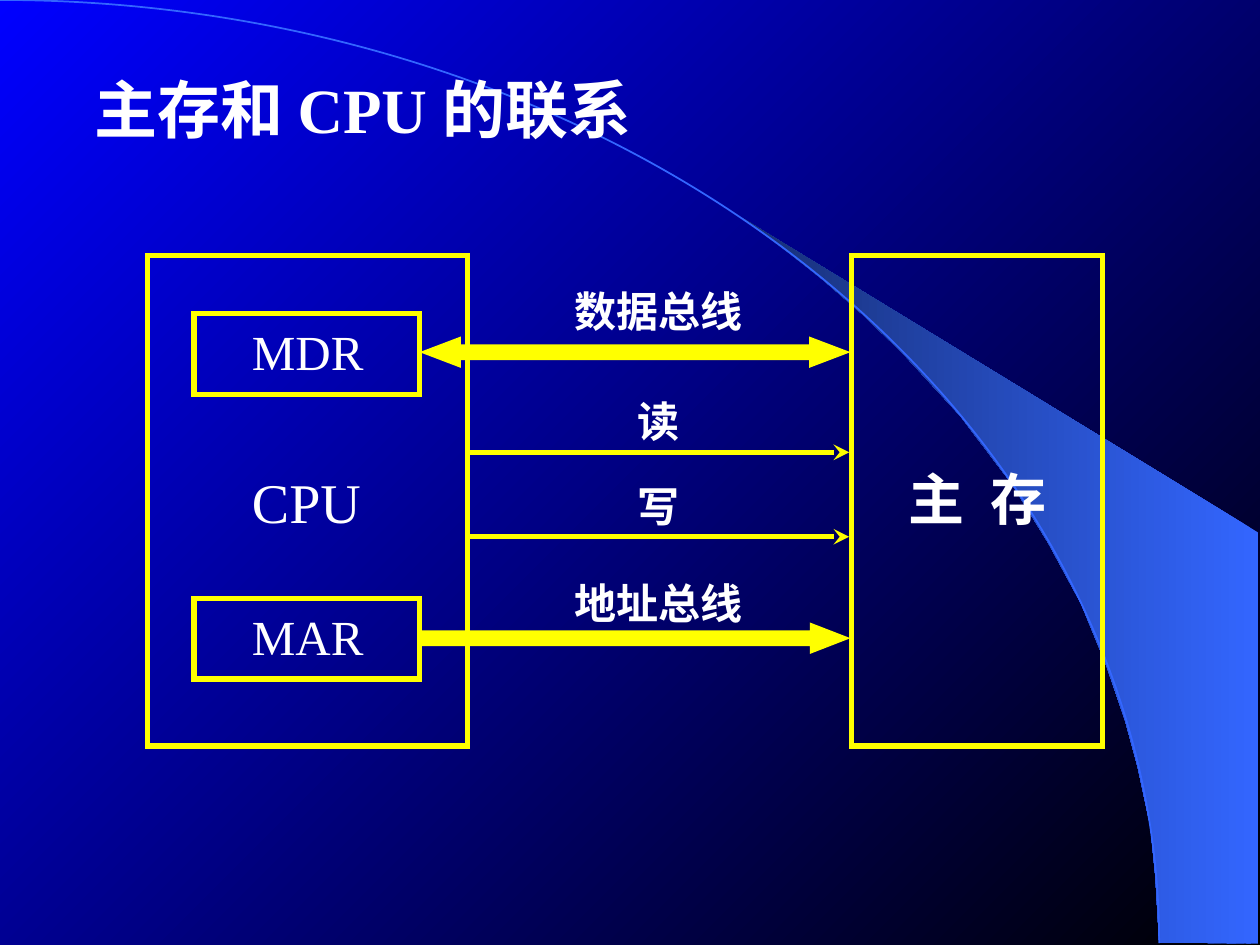
from typing import NamedTuple

from lxml.etree import SubElement
from pptx import Presentation
from pptx.dml.color import RGBColor
from pptx.enum.shapes import MSO_CONNECTOR, MSO_SHAPE
from pptx.enum.text import MSO_AUTO_SIZE
from pptx.oxml.ns import qn
from pptx.util import Inches, Pt

COLORS = {
    "black": "000000", "blue": "0000FF", "sky": "3366FF",
    "navy": "172F75", "yellow": "FFFF00", "white": "FFFFFF",
}
LATIN, CJK = "Times New Roman", "Noto Sans CJK SC"


class Box(NamedTuple):
    left: float
    top: float
    width: float
    height: float


class Label(NamedTuple):
    text: str
    box: Box
    size: int
    font: str = LATIN
    bold: bool = False
    padded: bool = False
    spacing: int = 0


class BlockArrow(NamedTuple):
    kind: MSO_SHAPE
    top: float
    head: float


CPU = Box(1.17, 2.03, 2.54, 3.89)
MEMORY = Box(6.76, 2.03, 1.99, 3.89)
REGISTER_TOPS = {"MDR": 2.49, "MAR": 4.75}
REGISTERS = {name: Box(1.54, top, 1.79, 0.64) for name, top in REGISTER_TOPS.items()}

LABELS = [
    Label("主存和 CPU 的联系", Box(0.65, 0.51, 5, 0.7), 36, bold=True, padded=True),
    Label("CPU", Box(2, 3.71, 1, 0.53), 32),
    Label("主 存", Box(7.11, 3.64, 1.5, 0.64), 32, bold=True, padded=True, spacing=4),
    *[Label(name, Box(2, box.top + 0.06, 1, 0.47), 28)
      for name, box in REGISTERS.items()],
    *[Label(text, Box(4.56, top, 1.5, 0.4), 24, CJK, True)
      for text, top in (("数据总线", 2.27), ("地址总线", 4.58))],
    *[Label(text, Box(5.06, top, 0.4, 0.4), 24, CJK, True)
      for text, top in (("读", 3.14), ("写", 3.81))],
]
BUSES = [
    BlockArrow(MSO_SHAPE.LEFT_RIGHT_ARROW, 2.67, 1.316),
    BlockArrow(MSO_SHAPE.RIGHT_ARROW, 4.94, 1.291),
]
CONTROL_LINES = [3.59, 4.26]
BEAM = [
    (9.2, 7.48), (9.99, 7.49), (9.99, 4.23), (5.89, 1.73), (6.24, 1.99),
    (6.53, 2.22), (6.85, 2.5), (7.16, 2.8), (7.62, 3.3), (8.03, 3.84),
    (8.32, 4.31), (8.58, 4.79), (8.78, 5.28), (8.93, 5.72), (9.03, 6.09),
    (9.13, 6.56), (9.17, 6.96),
]


def rgb(name: str) -> RGBColor:
    return RGBColor.from_string(COLORS[name])


def inches(box: Box) -> list:
    return [Inches(v) for v in box]


def set_gradient(fill, start: str, end: str, angle: float) -> None:
    """Two-stop gradient; the angle runs counter-clockwise."""
    fill.gradient()
    fill.gradient_angle = angle
    for stop, name in zip(fill.gradient_stops, (start, end)):
        stop.color.rgb = rgb(name)


def add_outline(s, kind: MSO_SHAPE, box: Box, color: str, width: float) -> None:
    sp = s.shapes.add_shape(kind, *inches(box))
    sp.shadow.inherit = False
    sp.fill.background()
    sp.line.color.rgb = rgb(color)
    sp.line.width = Pt(width)
    SubElement(sp.line._get_or_add_ln(), qn("a:miter")).set("lim", "800000")


def add_beam(s) -> None:
    points = [(Inches(x), Inches(y)) for x, y in BEAM]
    builder = s.shapes.build_freeform(*points[0])
    builder.add_line_segments(points[1:], close=True)
    sp = builder.convert_to_shape()
    sp.shadow.inherit = False
    sp.line.fill.background()
    set_gradient(sp.fill, "sky", "navy", 180)


def add_label(s, label: Label) -> None:
    tf = s.shapes.add_textbox(*inches(label.box)).text_frame
    tf.word_wrap = True
    tf.auto_size = MSO_AUTO_SIZE.NONE
    tf.margin_left = tf.margin_right = Inches(0.1 if label.padded else 0)
    tf.margin_top = tf.margin_bottom = Inches(0.05 if label.padded else 0)
    tf.text = label.text
    r = tf.paragraphs[0].runs[0]
    r.font.size = Pt(label.size)
    r.font.bold = label.bold
    r.font.name = label.font
    r.font.color.rgb = rgb("white")
    props = r.font._element
    SubElement(props, qn("a:ea")).set("typeface", CJK)
    if label.spacing:
        props.set("spc", str(label.spacing * 100))


def add_bus(s, bus: BlockArrow) -> None:
    sp = s.shapes.add_shape(bus.kind, *inches(Box(3.33, bus.top, 3.42, 0.25)))
    sp.shadow.inherit = False
    sp.adjustments[0] = 0.5
    sp.adjustments[1] = bus.head
    sp.fill.solid()
    sp.fill.fore_color.rgb = rgb("yellow")
    sp.line.fill.background()


def add_control_line(s, y: float) -> None:
    line = s.shapes.add_connector(
        MSO_CONNECTOR.STRAIGHT, Inches(3.72), Inches(y), Inches(6.74), Inches(y))
    line.line.color.rgb = rgb("yellow")
    line.line.width = Pt(3)
    SubElement(line.line._get_or_add_ln(), qn("a:tailEnd")).set("type", "stealth")
    SubElement(line._element.spPr, qn("a:effectLst"))


def main() -> None:
    prs = Presentation()
    prs.slide_width, prs.slide_height = Inches(10), Inches(7.5)
    s = prs.slides.add_slide(prs.slide_layouts[6])
    set_gradient(s.background.fill, "black", "blue", 135)
    add_beam(s)
    add_outline(s, MSO_SHAPE.ARC, Box(-9.2, 0, 18.4, 14.97), "sky", 1)
    for box in (CPU, *REGISTERS.values(), MEMORY):
        add_outline(s, MSO_SHAPE.RECTANGLE, box, "yellow", 3)
    for bus in BUSES:
        add_bus(s, bus)
    for y in CONTROL_LINES:
        add_control_line(s, y)
    for label in LABELS:
        add_label(s, label)
    prs.save("out.pptx")


if __name__ == "__main__":
    main()
